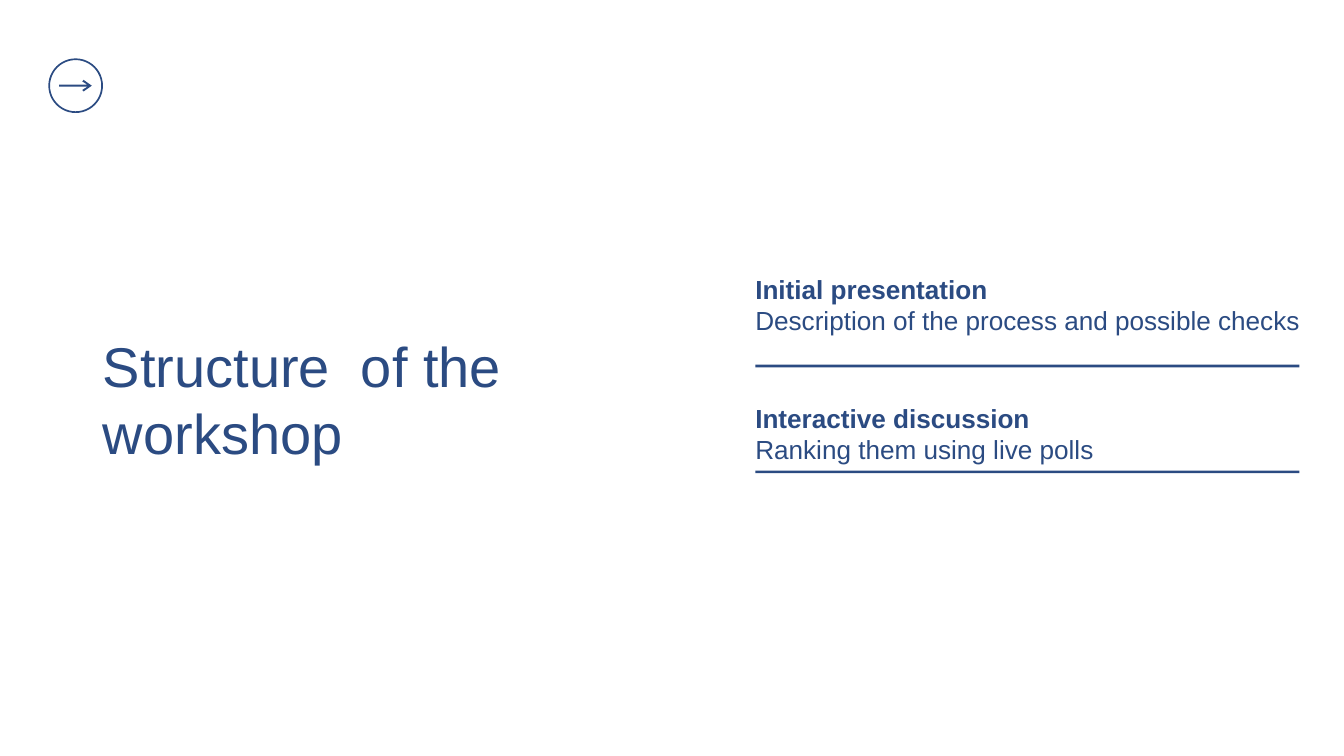
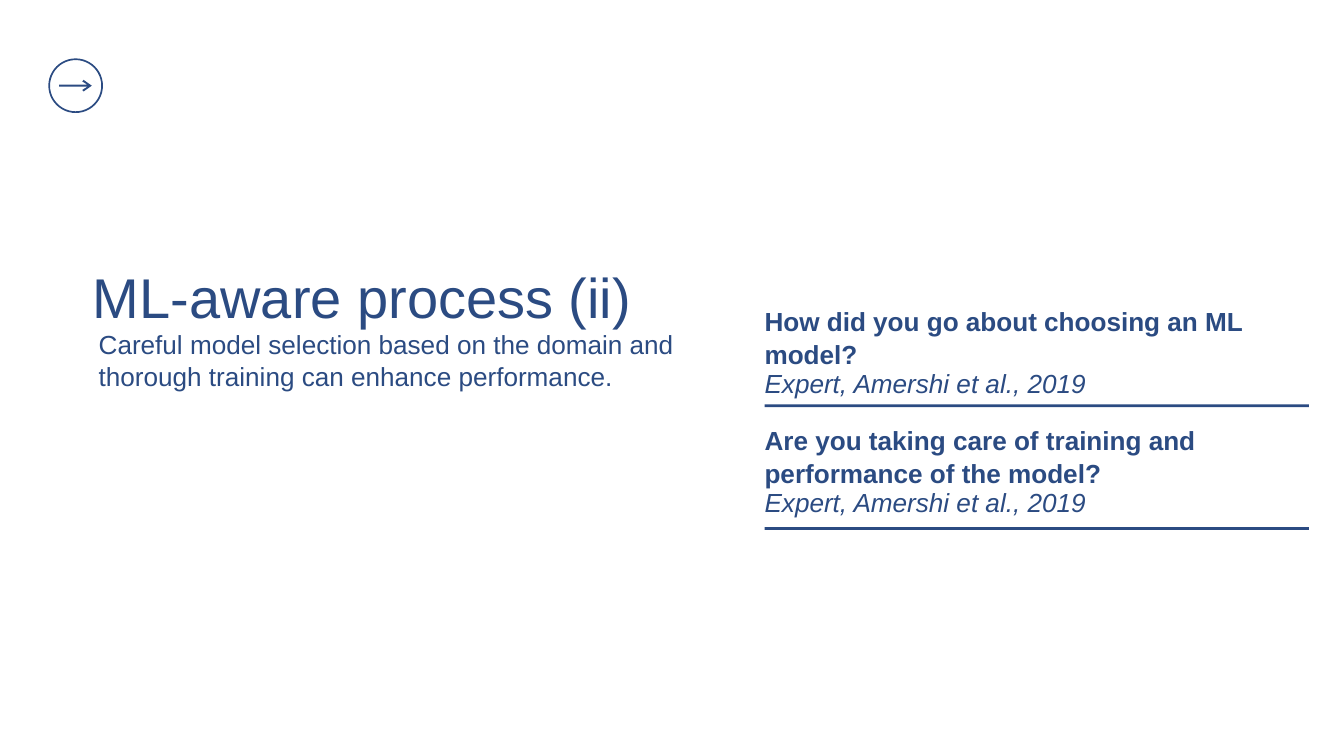
from pptx import Presentation
from pptx.dml.color import RGBColor
from pptx.enum.shapes import MSO_SHAPE as Shape
from pptx.enum.text import MSO_AUTO_SIZE as AutoSize
from pptx.util import Cm, Pt


def color(value):
    return RGBColor.from_string(value)


class Deck:
    """Holds the shared style and the slide being built."""

    INK = "2B4B82"
    FONT = "Arial"
    TITLE_SIZE = 60
    BODY_SIZE = 28
    COLUMN_WIDTH = 20.57
    BAR_HEIGHT = 0.1

    def __init__(self):
        self.prs = Presentation()
        self.prs.slide_width = Cm(50.8)
        self.prs.slide_height = Cm(28.58)
        self.s = None

    def slide(self):
        self.s = self.prs.slides.add_slide(self.prs.slide_layouts[6])
        self.arrow_badge(2.86, 3.24)

    def paint(self, sp):
        sp.shadow.inherit = False
        sp.fill.solid()
        sp.fill.fore_color.rgb = color(self.INK)
        sp.line.fill.background()

    def arrow_badge(self, cx, cy):
        """Draw a ring centred on (cx, cy) with a right arrow inside."""
        upper = [(0.3, -0.22), (0.25, -0.16), (0.44, -0.04), (-0.62, -0.04)]
        lower = [(x, -y) for x, y in reversed(upper)]
        points = [(Cm(cx + x), Cm(cy + y)) for x, y in upper + lower]
        builder = self.s.shapes.build_freeform(Cm(cx + 0.61), Cm(cy))
        builder.add_line_segments(points, close=True)
        self.paint(builder.convert_to_shape())

        radius = 1
        ring = self.s.shapes.add_shape(Shape.OVAL, Cm(cx - radius), Cm(cy - radius),
                                       Cm(2 * radius), Cm(2 * radius))
        ring.shadow.inherit = False
        ring.fill.background()
        ring.line.color.rgb = color(self.INK)
        ring.line.width = Pt(1.8)

    def text(self, text, left, top, width, height, size=BODY_SIZE,
             bold=False, italic=False, spacing=None, inset=(0, 0)):
        sp = self.s.shapes.add_textbox(Cm(left), Cm(top), Cm(width), Cm(height))
        tf = sp.text_frame
        tf.word_wrap = True
        tf.auto_size = AutoSize.SHAPE_TO_FIT_TEXT
        tf.margin_left = tf.margin_right = Cm(inset[0])
        tf.margin_top = tf.margin_bottom = Cm(inset[1])
        p = tf.paragraphs[0]
        p.text = text
        p.line_spacing = spacing
        font = p.runs[0].font
        font.name, font.size = self.FONT, Pt(size)
        font.bold, font.italic = bold, italic
        font.color.rgb = color(self.INK)

    def title(self, text, left, top, lines=1):
        self.text(text, left, top, 23.14, 2.13 * lines, self.TITLE_SIZE)

    def subtitle(self, text, left, top):
        self.text(text, left, top, 23.72, 2.64, inset=(0.25, 0.13))

    def bar(self, left, middle):
        sp = self.s.shapes.add_shape(Shape.RECTANGLE, Cm(left),
                                     Cm(middle - self.BAR_HEIGHT / 2),
                                     Cm(self.COLUMN_WIDTH), Cm(self.BAR_HEIGHT))
        self.paint(sp)

    def entry(self, heading, detail, left, top, bar_at, lines=1, italic=False):
        """Stack a bold heading of some lines, a detail line and a closing bar."""
        detail_top = top + 0.14 + 1.16 * lines
        self.bar(left, bar_at)
        self.text(detail, left, detail_top, self.COLUMN_WIDTH, 0.97,
                  italic=italic, spacing=0.97)
        self.text(heading, left, top, self.COLUMN_WIDTH, 1.03 * lines,
                  bold=True, spacing=1.05)


def main():
    deck = Deck()

    deck.slide()
    deck.title("Structure  of the workshop", 3.89, 12.52, lines=2)
    for heading, detail, top, bar_at in [
        ("Initial presentation",
         "Description of the process and possible checks", 10.26, 13.84),
        ("Interactive discussion",
         "Ranking them using live polls", 15.14, 17.84),
    ]:
        deck.entry(heading, detail, 28.55, top, bar_at)

    deck.slide()
    deck.title("ML-aware process (ii)", 3.51, 9.93)
    deck.subtitle("Careful model selection based on the domain and "
                  "thorough training can enhance performance.", 3.48, 12.29)
    for question, top, bar_at in [
        ("How did you go about choosing an ML model?", 11.48, 15.34),
        ("Are you taking care of training and performance of the model?",
         16, 19.98),
    ]:
        deck.entry(question, "Expert, Amershi et al., 2019", 28.9, top, bar_at,
                   lines=2, italic=True)

    deck.prs.save("out.pptx")


if __name__ == "__main__":
    main()
